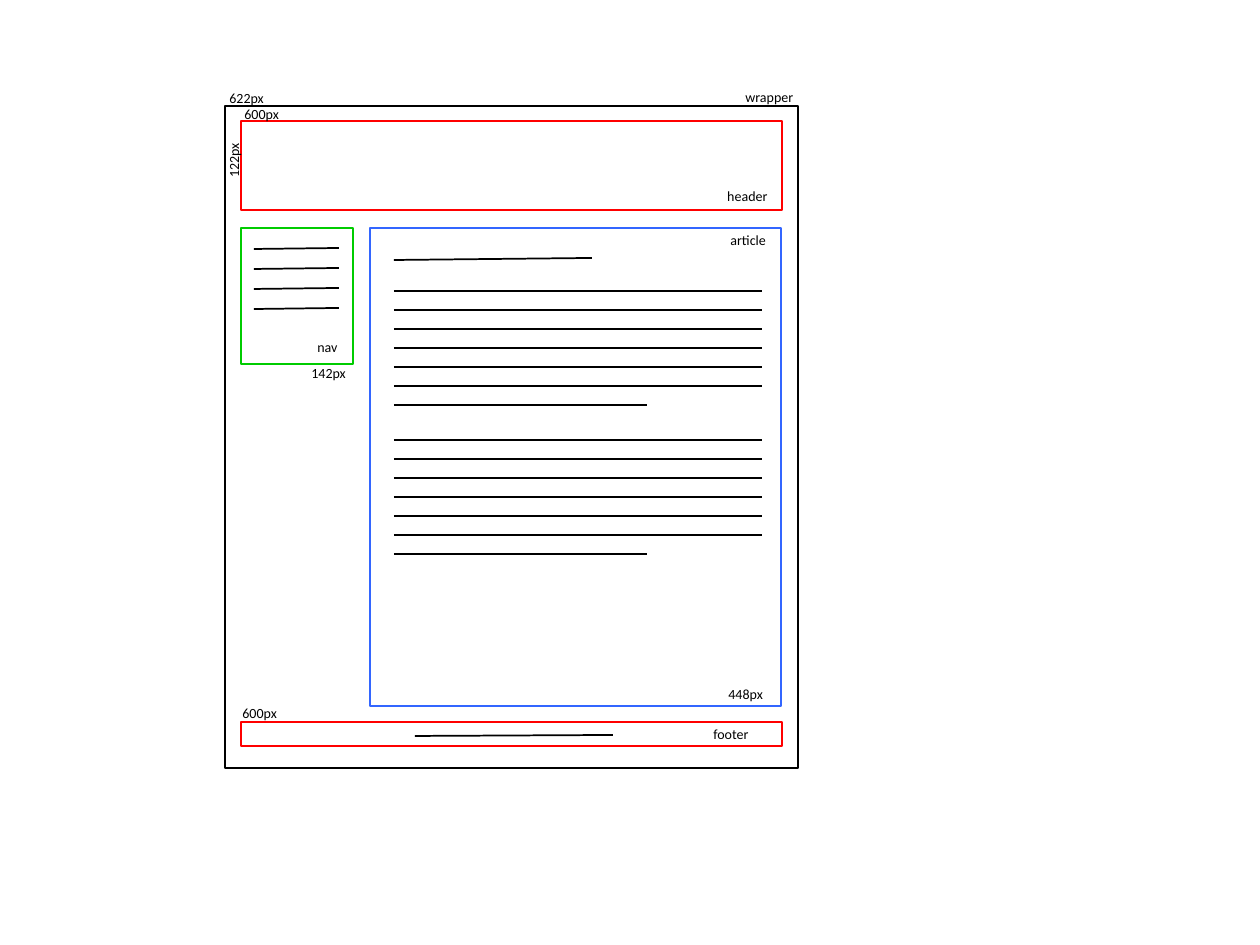
from pptx import Presentation
from pptx.dml.color import RGBColor
from pptx.enum import shapes as shp, text as txt
from pptx.util import Emu, Pt
from lxml import etree

BLACK = RGBColor(0x00, 0x00, 0x00)
RED = RGBColor(0xFF, 0x00, 0x00)
GREEN = RGBColor(0x00, 0xCC, 0x00)
BLUE = RGBColor(0x33, 0x66, 0xFF)
NS = "{http://schemas.openxmlformats.org/drawingml/2006/main}"


def px(*vals):
    return [Emu(round(v * 914400 / 126)) for v in vals]


def rule(x1, y1, x2, y2):
    line = slide.shapes.add_connector(
        shp.MSO_CONNECTOR.STRAIGHT, *px(x1, y1, x2, y2))
    line.line.color.rgb = BLACK
    line.line.width = Pt(1)
    etree.SubElement(line._element.spPr, NS + "effectLst")


deck = Presentation()
deck.slide_width, deck.slide_height = px(1260, 945)
slide = deck.slides.add_slide(deck.slide_layouts[6])

# Page frames: wrapper, header, nav, article, footer
frames = [
    (225, 106, 573, 662, BLACK),
    (241, 121, 541, 89, RED),
    (241, 228, 112, 136, GREEN),
    (370, 228, 411, 478, BLUE),
    (241, 722, 541, 24, RED),
]
for x, y, w, h, hue in frames:
    box = slide.shapes.add_shape(shp.MSO_SHAPE.RECTANGLE, *px(x, y, w, h))
    box.shadow.inherit = False
    box.fill.background()
    box.line.color.rgb = hue
    box.line.width = Pt(0.75)

# Article heading and two paragraphs, each with a short last line
rule(394, 260, 592, 258)
for top in (291, 440):
    for row in range(7):
        y = top + 19 * row
        rule(394, y, 762 if row < 6 else 647, y)

# Nav links and footer line
for row in range(4):
    y = 249 + 20 * row
    rule(254, y, 339, y - 1)
rule(415, 736, 613, 735)

# Labels: text, left, top, width, turn, alignment
LEFT, RIGHT = txt.PP_ALIGN.LEFT, txt.PP_ALIGN.RIGHT
labels = [
    ("622px", 217, 90, 64, 0, LEFT),
    ("wrapper", 733, 89, 78, 0, LEFT),
    ("600px", 232, 105, 64, 0, LEFT),
    ("header", 711, 188, 69, 0, RIGHT),
    ("122px", 201, 155, 64, 270, RIGHT),
    ("nav", 305, 338, 48, 0, LEFT),
    ("article", 718, 232, 63, 0, LEFT),
    ("footer", 701, 726, 64, 0, LEFT),
    ("142px", 299, 364, 64, 0, LEFT),
    ("448px", 716, 686, 64, 0, LEFT),
    ("600px", 230, 705, 64, 0, LEFT),
]
for word, x, y, w, turn, side in labels:
    box = slide.shapes.add_textbox(*px(x, y, w, 16))
    box.rotation = turn
    frame = box.text_frame
    frame.margin_top = frame.margin_bottom = 0
    frame.word_wrap = False
    frame.auto_size = txt.MSO_AUTO_SIZE.SHAPE_TO_FIT_TEXT
    para = frame.paragraphs[0]
    para.text = word
    para.alignment = side
    para.font.name = "Calibri"
    para.font.size = Pt(8)
    para.font.color.rgb = BLACK

deck.save("out.pptx")
